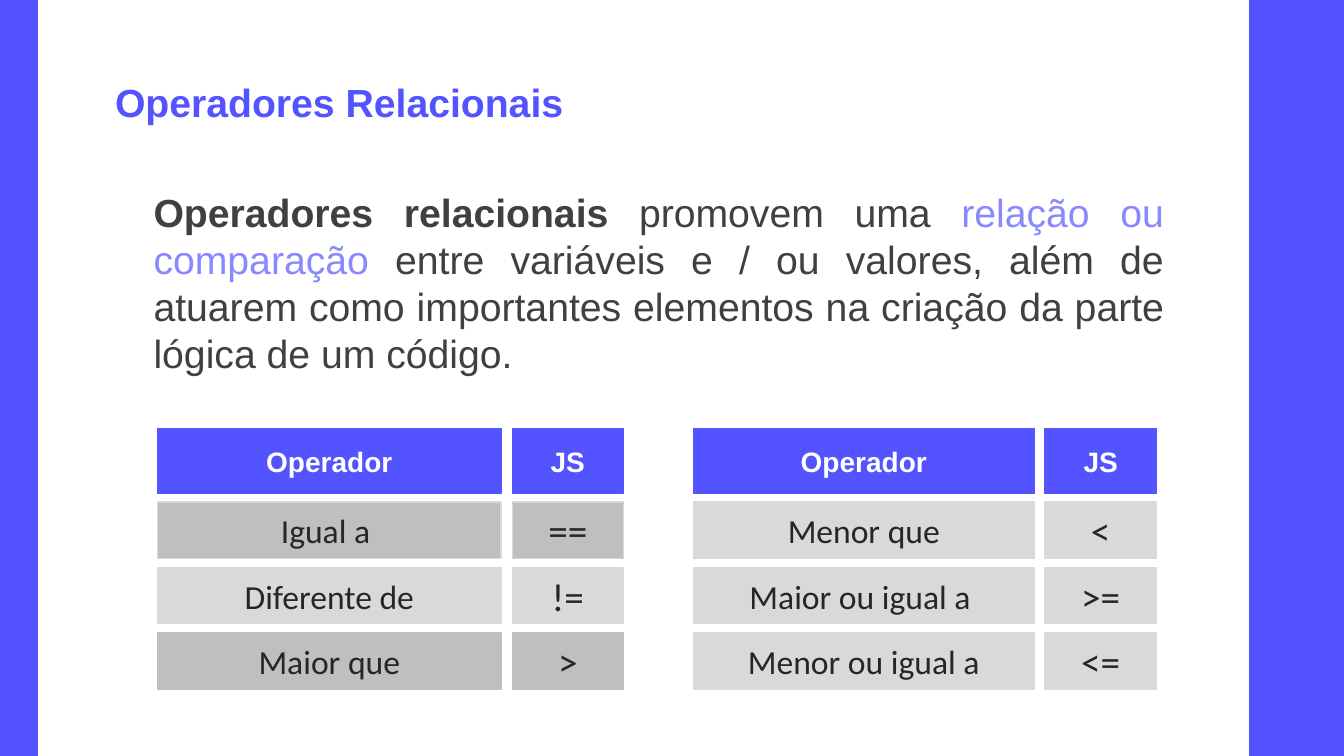
from pptx import Presentation
from pptx.dml.color import RGBColor
from pptx.enum.shapes import MSO_SHAPE
from pptx.enum.text import MSO_ANCHOR, PP_ALIGN
from pptx.util import Cm, Pt

BLUE, LILAC, WHITE = "5353FF", "8989FF", "FFFFFF"
DARK, INK = "404040", "262626"
GREY, LIGHT = "BFBFBF", "D9D9D9"

JS_WIDTH, GAP = 2.8, 0.28
HEADER_HEIGHT, ROW_HEIGHT = 1.63, 1.42
FIRST_ROW, ROW_PITCH = 1.85, 1.65


def color(value):
    return RGBColor.from_string(value)


def style_run(r, size, font, ink, bold=False):
    r.font.size = Pt(size)
    r.font.name = font
    r.font.bold = bold
    r.font.color.rgb = color(ink)


def add_rect(slide, left, top, width, height, fill, line):
    sp = slide.shapes.add_shape(
        MSO_SHAPE.RECTANGLE, Cm(left), Cm(top), Cm(width), Cm(height))
    sp.shadow.inherit = False
    sp.fill.solid()
    sp.fill.fore_color.rgb = color(fill)
    sp.line.color.rgb = color(line)
    sp.line.width = Pt(1)
    return sp


def add_cell(slide, left, top, width, height, fill, line,
             text, size, font, ink, bold=False):
    sp = add_rect(slide, left, top, width, height, fill, line)
    tf = sp.text_frame
    tf.text = text
    tf.word_wrap = True
    tf.vertical_anchor = MSO_ANCHOR.MIDDLE
    p = tf.paragraphs[0]
    p.alignment = PP_ALIGN.CENTER
    style_run(p.runs[0], size, font, ink, bold)


def add_text(slide, left, top, width, height, inset, runs, size):
    sp = slide.shapes.add_textbox(Cm(left), Cm(top), Cm(width), Cm(height))
    tf = sp.text_frame
    tf.word_wrap = True
    tf.margin_left = tf.margin_right = Cm(inset)
    tf.margin_top = tf.margin_bottom = Cm(inset)
    p = tf.paragraphs[0]
    for text, ink, bold in runs:
        r = p.add_run()
        r.text = text
        style_run(r, size, "Arial", ink, bold)
    return tf


def add_side_bands(slide, width, height):
    add_rect(slide, 0, 0, 0.93, height, BLUE, BLUE)
    add_rect(slide, width - 2.38, 0, 2.38, height, BLUE, BLUE)


def add_title(slide, left, top, width, height):
    tf = add_text(slide, left, top, width, height, 0.25,
                  [("Operadores Relacionais", BLUE, True)], 28)
    tf.vertical_anchor = MSO_ANCHOR.BOTTOM


def add_definition(slide, left, top, width, height):
    tf = add_text(slide, left, top, width, height, 0.34, [
        ("Operadores relacionais ", DARK, True),
        ("promovem uma ", DARK, False),
        ("relação ou comparação ", LILAC, False),
        ("entre variáveis e / ou valores, além de atuarem como importantes "
         "elementos na criação da parte lógica de um código.", DARK, False),
    ], 28)
    p = tf.paragraphs[0]
    p.alignment = PP_ALIGN.JUSTIFY
    p.space_before = Pt(6)


def add_operators(slide, left, top, width, rows):
    name_width = width - JS_WIDTH - GAP
    columns = [(left, name_width, "Operador", 24),
               (left + name_width + GAP, JS_WIDTH, "JS", 28)]
    for i, (x, w, heading, size) in enumerate(columns):
        add_cell(slide, x, top, w, HEADER_HEIGHT, BLUE, BLUE,
                 heading, 20, "Arial", WHITE, True)
        for n, (*texts, fill, line) in enumerate(rows):
            y = top + FIRST_ROW + n * ROW_PITCH
            add_cell(slide, x, y, w, ROW_HEIGHT, fill, line,
                     texts[i], size, "Calibri", INK)


def main():
    prs = Presentation()
    prs.slide_width, prs.slide_height = Cm(33.87), Cm(19.05)
    slide = prs.slides.add_slide(prs.slide_layouts[6])
    add_side_bands(slide, 33.87, 19.05)
    add_title(slide, 2.65, 1.98, 20.83, 1.42)
    add_definition(slide, 3.53, 4.4, 26.14, 5.74)
    add_operators(slide, 3.97, 10.8, 11.74, [
        ("Igual a ", "==", GREY, LIGHT),
        ("Diferente de", "!=", LIGHT, LIGHT),
        ("Maior que", ">", GREY, GREY),
    ])
    add_operators(slide, 17.48, 10.8, 11.66, [
        ("Menor que", "<", LIGHT, LIGHT),
        ("Maior ou igual a ", ">=", LIGHT, LIGHT),
        ("Menor ou igual a", "<=", LIGHT, LIGHT),
    ])
    prs.save("out.pptx")


if __name__ == "__main__":
    main()
